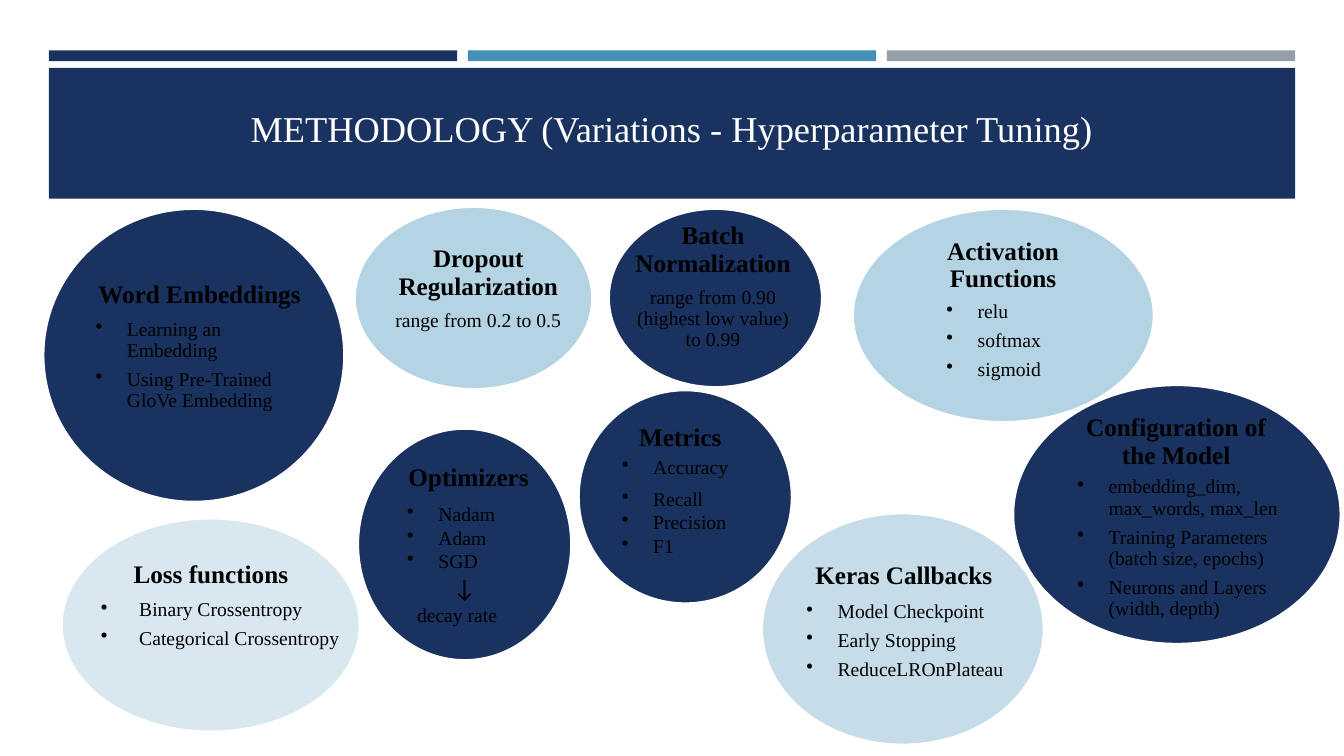
from dataclasses import dataclass
from typing import Optional

from lxml import etree
from pptx import Presentation
from pptx.dml.color import RGBColor
from pptx.enum.shapes import MSO_SHAPE as Shape
from pptx.enum.text import MSO_ANCHOR as Anchor, PP_ALIGN as Align
from pptx.oxml.ns import qn
from pptx.util import Cm, Pt

NAVY = RGBColor(0x1A, 0x32, 0x60)
BLUE = RGBColor(0x45, 0x90, 0xB8)
GREY = RGBColor(0x96, 0x9F, 0xA7)
SKY = RGBColor(0x8F, 0xBD, 0xD5)
PALE = RGBColor(0xB4, 0xD3, 0xE3)
WHITE = RGBColor(0xFF, 0xFF, 0xFF)
BLACK = RGBColor(0, 0, 0)
SERIF = "Times New Roman"


@dataclass
class Line:
    text: str
    size: float = 14
    font: str = SERIF
    bold: bool = False
    align: Align = Align.LEFT
    spacing: float = 0.9
    after: float = 5.5
    margin: float = 0
    bullet: bool = False


@dataclass
class Topic:
    oval: tuple  # left, top, width, height in cm
    fill: RGBColor
    heading: str
    heading_box: tuple  # left, top, width in cm
    details: list
    details_box: Optional[tuple] = None  # None: details follow the heading
    opacity: int = 100


def bullets(*texts, margin=0.79, **style):
    return [Line(text, margin=margin, bullet=True, **style) for text in texts]


def centred(text, **style):
    return Line(text, align=Align.CENTER, **style)


TOPICS = [
    Topic((1.09, 5.26, 7.59, 7.39), NAVY, "Word Embeddings", (2.11, 7.03, 5.84),
          bullets("Learning an Embedding", "Using Pre-Trained GloVe Embedding")),
    Topic((15.34, 5.26, 5.38, 4.5), NAVY, "Batch Normalization", (15.67, 5.54, 4.6),
          [centred("range from 0.90 (highest low value) to 0.99")]),
    Topic((14.58, 9.83, 5.38, 5.38), NAVY, "Metrics", (15.29, 10.63, 3.71),
          bullets("Accuracy")
          + bullets("Recall", "Precision", "F1", spacing=1, after=0),
          (15.37, 11.46, 3.71)),
    Topic((9.02, 10.8, 5.38, 5.84), NAVY, "Optimizers", (9.96, 11.64, 3.7),
          bullets("Nadam", "Adam", "SGD", spacing=1, after=0)
          + [Line("↓", 18, "Calibri", spacing=1, after=0, margin=1.16),
             Line("decay rate", spacing=1, after=0, margin=0.25)]),
    Topic((19.2, 12.93, 7.11, 5.84), SKY, "Keras Callbacks", (19.2, 14.11, 7.16),
          bullets("Model Checkpoint", "Early Stopping", "ReduceLROnPlateau"),
          (20.02, 15.09, 7.16), 50),
    Topic((8.94, 5.21, 5.99, 4.6), PALE, "Dropout Regularization", (9.63, 6.12, 4.85),
          [centred("range from 0.2 to 0.5")]),
    Topic((1.55, 13.06, 7.52, 5.38), PALE, "Loss functions", (1.63, 14.08, 7.37),
          bullets("Binary Crossentropy", "Categorical Crossentropy", margin=0.97),
          (2.24, 15.04, 7.37), 50),
    Topic((21.49, 5.26, 7.59, 5.38), PALE, "Activation Functions", (22.89, 5.94, 4.78),
          bullets("relu", "softmax", "sigmoid"), (23.55, 7.53, 4.78)),
    Topic((25.53, 9.7, 8.26, 6.53), NAVY, "Configuration of the Model",
          (26.72, 10.38, 5.84),
          bullets("embedding_dim, max_words, max_len",
                  "Training Parameters (batch size, epochs)",
                  "Neurons and Layers (width, depth)"),
          (26.85, 11.94, 6.32)),
]


def add_filled(slide, kind, box, fill):
    shape = slide.shapes.add_shape(kind, *(Cm(length) for length in box))
    shape.shadow.inherit = False
    shape.fill.solid()
    shape.fill.fore_color.rgb = fill
    shape.line.fill.background()
    return shape


def add_lines(slide, box, lines, color=BLACK, anchor=Anchor.TOP):
    frame = slide.shapes.add_textbox(*(Cm(length) for length in box)).text_frame
    frame.word_wrap = True
    frame.vertical_anchor = anchor
    frame.margin_left = frame.margin_right = Cm(0.3)
    frame.margin_top = frame.margin_bottom = Cm(0.08)
    for number, line in enumerate(lines):
        paragraph = frame.add_paragraph() if number else frame.paragraphs[0]
        paragraph.text = line.text
        paragraph.alignment = line.align
        paragraph.line_spacing = line.spacing
        paragraph.space_after = Pt(line.after)
        font = paragraph.runs[0].font
        font.size, font.name, font.bold = Pt(line.size), line.font, line.bold
        font.color.rgb = color
        # Indent and bullet
        properties = paragraph._p.get_or_add_pPr()
        properties.set("marL", str(Cm(line.margin)))
        if line.bullet:
            properties.set("indent", str(-Cm(line.margin)))
            etree.SubElement(properties, qn("a:buChar")).set("char", "•")


def add_banner(slide, left, top, width):
    # Three accent bars above the title block
    gap = 0.27
    bar_width = (width - 2 * gap) / 3
    for column, color in enumerate((NAVY, BLUE, GREY)):
        bar_left = left + column * (bar_width + gap)
        add_filled(slide, Shape.RECTANGLE, (bar_left, top, bar_width, 0.27), color)
    # Title block
    add_filled(slide, Shape.RECTANGLE, (left, top + 0.44, width, 3.3), NAVY)
    title = centred("METHODOLOGY (Variations - Hyperparameter Tuning)",
                    size=26, after=0, spacing=1)
    add_lines(slide, (left + 2.05, top + 0.89, width - 4.1, 2.11), [title],
              WHITE, Anchor.MIDDLE)


def add_topic(slide, topic):
    # Oval
    oval = add_filled(slide, Shape.OVAL, topic.oval, topic.fill)
    oval.line.color.rgb = WHITE
    oval.line.width = Pt(1.75)
    if topic.opacity < 100:
        color = oval.fill._xPr.find(qn("a:solidFill"))[0]
        etree.SubElement(color, qn("a:alpha")).set("val", str(topic.opacity * 1000))
    # Heading and details, each reaching down to the foot of the oval
    foot = topic.oval[1] + topic.oval[3]
    heading = [centred(topic.heading, size=18, bold=True, after=7)]
    if topic.details_box is None:
        blocks = [(topic.heading_box, heading + topic.details)]
    else:
        blocks = [(topic.heading_box, heading), (topic.details_box, topic.details)]
    for (left, top, width), lines in blocks:
        add_lines(slide, (left, top, width, foot - top), lines)


def main():
    deck = Presentation()
    deck.slide_width, deck.slide_height = Cm(33.87), Cm(19.05)
    slide = deck.slides.add_slide(deck.slide_layouts[6])
    add_banner(slide, 1.23, 1.27, 31.41)
    for topic in TOPICS:
        add_topic(slide, topic)
    deck.save("out.pptx")


if __name__ == "__main__":
    main()
